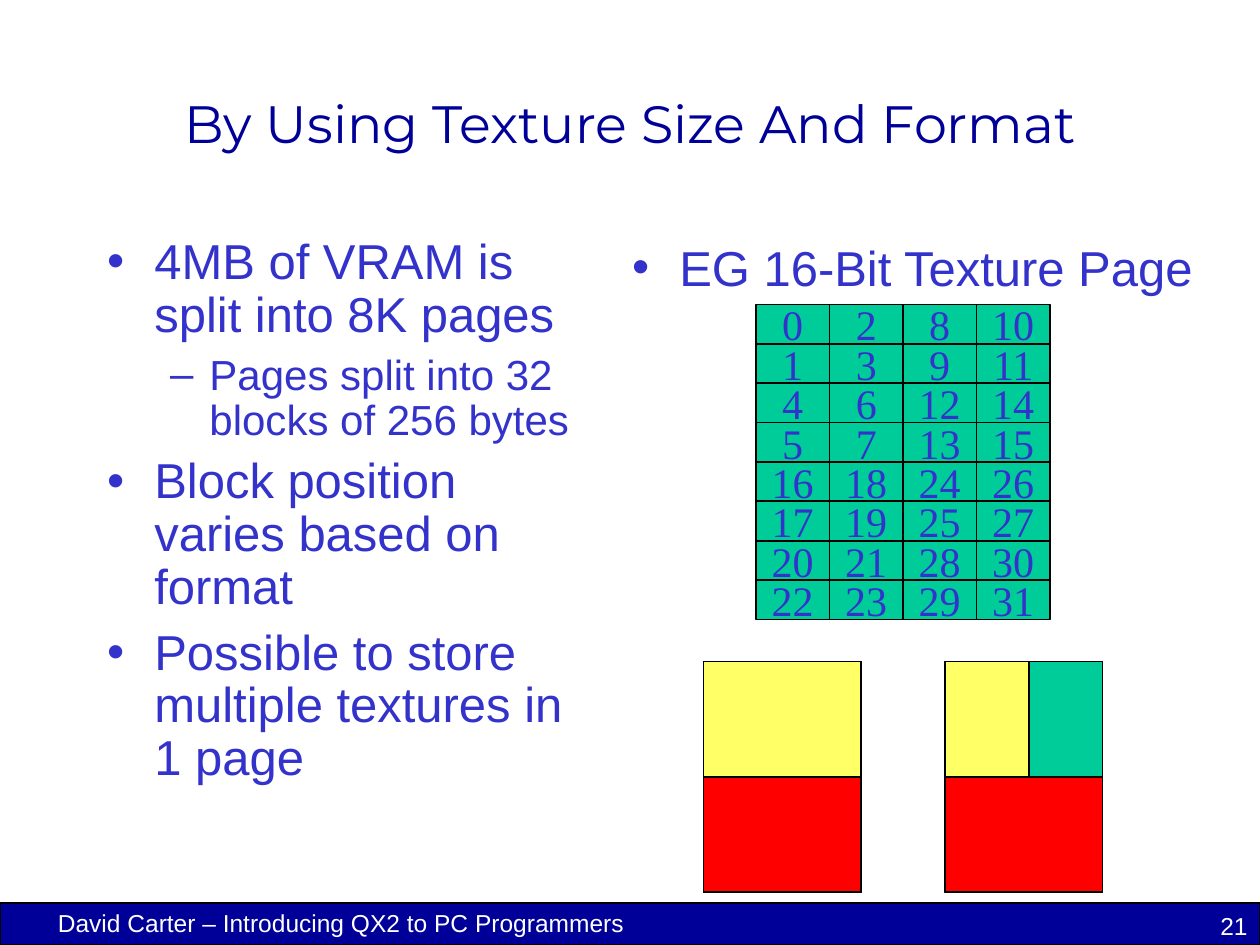
from lxml.etree import SubElement
from pptx import Presentation
from pptx.dml.color import RGBColor
from pptx.enum.shapes import MSO_SHAPE
from pptx.enum.text import MSO_ANCHOR, MSO_AUTO_SIZE, PP_ALIGN
from pptx.oxml.ns import qn
from pptx.util import Pt

NAVY, BLUE, WHITE, BLACK = "000099", "3333CC", "FFFFFF", "000000"
GREEN, YELLOW, RED = "00CC99", "FFFF66", "FF0000"
BLOCKS = [
    [0, 2, 8, 10], [1, 3, 9, 11], [4, 6, 12, 14], [5, 7, 13, 15],
    [16, 18, 24, 26], [17, 19, 25, 27], [20, 21, 28, 30], [22, 23, 29, 31],
]
POINTS = [
    ("4MB of VRAM is split into 8K pages", 0),
    ("Pages split into 32 blocks of 256 bytes", 1),
    ("Block position varies based on format", 0),
    ("Possible to store multiple textures in 1 page", 0),
]
LEVELS = [("•", 27, -27, 28, 7), ("–", 58.5, -22.5, 24, 6)]


def tint(code):
    """Turn a hex string into a colour."""
    return RGBColor.from_string(code)


def place(shape, box):
    """Move a shape to a box of left, top, width and height in points."""
    shape.left, shape.top, shape.width, shape.height = map(Pt, box)
    return shape


def write(para, text, size=28, font="Arial", color=BLUE,
          align=PP_ALIGN.LEFT, before=0, line=None):
    """Write text into a paragraph with the given format."""
    para.alignment = align
    para.space_before = Pt(before)
    para.line_spacing = line
    run = para.add_run()
    run.text = text
    run.font.size = Pt(size)
    run.font.name = font
    run.font.color.rgb = tint(color)


def mark(para, char, left, hang):
    """Give a paragraph a bullet and a hanging indent."""
    props = para._p.get_or_add_pPr()
    props.set("marL", str(Pt(left)))
    props.set("indent", str(Pt(hang)))
    hue = SubElement(props, qn("a:buClr"))
    SubElement(hue, qn("a:srgbClr"), val=BLUE)
    SubElement(props, qn("a:buFont"), typeface="Arial")
    SubElement(props, qn("a:buChar"), char=char)


def block(shapes, box, fill, width=1):
    """Draw a filled rectangle with a black outline."""
    shape = shapes.add_shape(MSO_SHAPE.RECTANGLE, *map(Pt, box))
    shape.shadow.inherit = False
    shape.fill.solid()
    shape.fill.fore_color.rgb = tint(fill)
    shape.line.color.rgb = tint(BLACK)
    shape.line.width = Pt(width)
    return shape


def label(slide, box, text, align, before=0):
    """Add a small white line of text."""
    frame = slide.shapes.add_textbox(*map(Pt, box)).text_frame
    frame.word_wrap = True
    write(frame.paragraphs[0], text, size=14, color=WHITE, align=align, before=before)


def footer(slide, box):
    """Draw the bottom bar with the talk name and page number."""
    left, top, width, height = box
    block(slide.shapes, box, NAVY, width=0.75)
    label(slide, (left + 18, top - 0.5, 354, 20), "David Carter – Introducing QX2 to PC Programmers",
          PP_ALIGN.CENTER, before=3.5)
    label(slide, (left + width - 150, top + 1, 150, height), "21", PP_ALIGN.RIGHT)


def heading(slide, box, text):
    """Fill the title placeholder."""
    frame = place(slide.shapes.title, box).text_frame
    frame.auto_size = MSO_AUTO_SIZE.NONE
    frame.vertical_anchor = MSO_ANCHOR.MIDDLE
    write(frame.paragraphs[0], text, size=30, font="Montserrat", color=NAVY, align=PP_ALIGN.CENTER)


def bullets(holder, box, items, line=None):
    """Fill a body placeholder with a list of texts and levels."""
    frame = place(holder, box).text_frame
    frame.auto_size = MSO_AUTO_SIZE.NONE
    for i, (text, level) in enumerate(items):
        para = frame.add_paragraph() if i else frame.paragraphs[0]
        para.level = level
        char, left, hang, size, before = LEVELS[level]
        write(para, text, size=size, before=before, line=line)
        mark(para, char, left, hang)


def page(slide, box):
    """Draw the grid of numbered blocks of one texture page."""
    left, top, width, height = box
    wide, high = width / len(BLOCKS[0]), height / len(BLOCKS)
    group = slide.shapes.add_group_shape()
    for r, row in enumerate(BLOCKS):
        for c, number in enumerate(row):
            cell = block(group.shapes, (left + c * wide, top + r * high, wide, high), GREEN)
            frame = cell.text_frame
            frame.word_wrap = False
            frame.vertical_anchor = MSO_ANCHOR.MIDDLE
            write(frame.paragraphs[0], str(number), size=24, font="Times New Roman",
                  align=PP_ALIGN.CENTER, before=15)


def split(slide, box, part):
    """Draw a page whose upper half holds a yellow texture of the given width."""
    left, top, width, height = box
    half = height / 2
    block(slide.shapes, box, GREEN)
    block(slide.shapes, (left, top, part, half), YELLOW)
    block(slide.shapes, (left, top + half, width, half), RED)


def main():
    """Build the slide and save it."""
    deck = Presentation()
    deck.slide_width, deck.slide_height = Pt(720), Pt(540)
    slide = deck.slides.add_slide(deck.slide_layouts.get_by_name("Two Content"))
    footer(slide, (0, 516, 720, 24))
    heading(slide, (54, 40, 612, 60), "By Using Texture Size And Format")
    bullets(slide.placeholders[1], (54, 132, 294, 348), POINTS, line=0.9)
    bullets(slide.placeholders[2], (354, 132, 366, 234), [("EG 16-Bit Texture Page", 0)])
    page(slide, (432, 174, 168, 180))
    split(slide, (402, 378, 90, 132), 90)
    split(slide, (540, 378, 90, 132), 48)
    deck.save("out.pptx")


if __name__ == "__main__":
    main()
